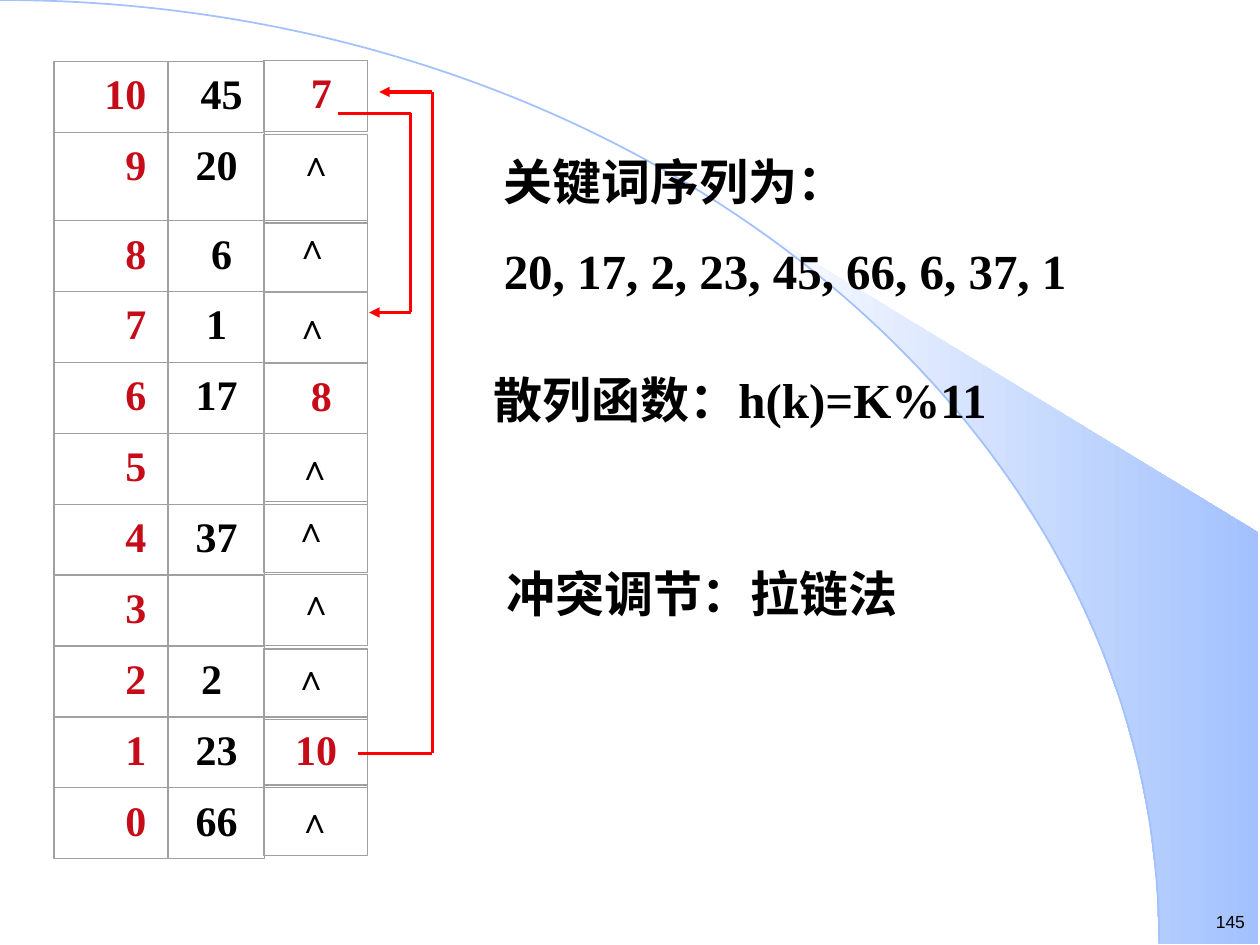
"""Build the slide on resolving hash collisions by chaining."""
from itertools import pairwise

from lxml import etree
from pptx import Presentation
from pptx import util as u
from pptx.dml.color import RGBColor
from pptx.enum import shapes, text
from pptx.oxml.ns import qn

SERIF = "Times New Roman"
BLACK, CRIMSON, RED, GREY = "000000", "C60C19", "FF0000", "A0A0A0"
WHITE, SKY = "FFFFFF", "A2C1FE"
LEFT, CENTER, RIGHT = text.PP_ALIGN.LEFT, text.PP_ALIGN.CENTER, text.PP_ALIGN.RIGHT
END = "∧"
TABLE_TOP, ROW, TALL_ROW = 0.49, 0.5625, 0.7
INDEX_LEFT, KEY_LEFT, LINK_LEFT = 0.43, 1.34, 2.09
CURVE = [(0, 0), (5.08, 0), (9.2, 3.35), (9.2, 7.49)]
# Index; key and left of its text; link, top of its cell, left and top of its text
BUCKETS = [
    ("10", "45", 1.46, "7", 0.48, 2.27, 0.48),
    ("9", "20", 1.42, END, 1.07, 2.23, 1.07),
    ("8", "6", 1.46, END, 1.75, 2.2, 1.73),
    ("7", "1", 1.42, END, 2.32, 2.2, 2.37),
    ("6", "17", 1.42, "8", 2.88, 2.27, 2.88),
    ("5", "", 1.42, END, 3.44, 2.22, 3.49),
    ("4", "37", 1.42, END, 3.98, 2.19, 3.98),
    ("3", "", 1.42, END, 4.56, 2.23, 4.56),
    ("2", "2", 1.38, END, 5.15, 2.19, 5.15),
    ("1", "23", 1.42, "10", 5.69, 2.23, 5.69),
    ("0", "66", 1.42, END, 6.23, 2.22, 6.29),
]
LINKS = [
    [(2.84, 5.98), (3.43, 5.98), (3.43, 0.73), (3.01, 0.73)],
    [(2.68, 0.9), (3.26, 0.9), (3.26, 2.48), (2.93, 2.48)],
]
NOTES = [
    (3.9, 1.15, 4.76, 1.28, ["关键词序列为：", "20, 17, 2, 23, 45, 66, 6, 37, 1"]),
    (3.82, 2.88, 5.28, 0.57, ["散列函数：h(k)=K%11"]),
    (3.92, 4.42, 4.83, 0.57, ["冲突调节：拉链法"]),
]


def color(value):
    """Turn a hex string into a colour."""
    return RGBColor.from_string(value)


def curve_point(t):
    """Return the point at t on the cubic curve."""
    weights = ((1 - t) ** 3, 3 * t * (1 - t) ** 2, 3 * t ** 2 * (1 - t), t ** 3)
    return tuple(sum(w * p for w, p in zip(weights, axis)) for axis in zip(*CURVE))


def add_outline(slide, points, close):
    """Add a freeform through the points."""
    points = [tuple(map(u.Inches, point)) for point in points]
    builder = slide.shapes.build_freeform(*points[0])
    builder.add_line_segments(points[1:], close=close)
    shape = builder.convert_to_shape()
    shape.shadow.inherit = False
    return shape


def add_sector(slide):
    """Add the shaded sector beside the curve."""
    edge = [curve_point(step / 100) for step in range(44, 101, 4)]
    sector = add_outline(slide, edge + [(9.99, 7.49), (9.99, 4.23)], True)
    sector.line.fill.background()
    sector.fill.gradient()
    sector.fill.gradient_angle = 0
    for stop, position, value in zip(sector.fill.gradient_stops, (0, 1), (WHITE, SKY)):
        stop.position, stop.color.rgb = position, color(value)


def add_arc(slide):
    """Add the curve as one cubic segment."""
    arc = add_outline(slide, CURVE, False)
    arc.fill.background()
    arc.line.color.rgb, arc.line.width = color(SKY), u.Pt(1)
    segments = list(arc._element.iter(qn("a:lnTo")))
    cubic = etree.SubElement(segments[0].getparent(), qn("a:cubicBezTo"))
    for segment in segments:
        cubic.append(segment[0])
        segment.getparent().remove(segment)


def add_text(slide, left, top, width, height, lines, size=28, value=BLACK,
             align=LEFT, name=SERIF, bold=True):
    """Add a text box with one paragraph per line and return its frame."""
    box = slide.shapes.add_textbox(*map(u.Inches, (left, top, width, height)))
    frame = box.text_frame
    frame.word_wrap = True
    frame.text = "\n".join(lines)
    for paragraph in frame.paragraphs:
        paragraph.alignment = align
        font = paragraph.font
        font.size, font.name, font.bold = u.Pt(size), name, bold
        font.color.rgb = color(value)
    for paragraph in frame.paragraphs[1:]:
        paragraph.space_before = u.Pt(17.5)
    return frame


def add_cell(slide, left, top, width, height):
    """Add the hairline frame of one cell."""
    area = map(u.Inches, (left, top, width, height))
    shape = slide.shapes.add_shape(shapes.MSO_SHAPE.RECTANGLE, *area)
    shape.shadow.inherit = False
    shape.fill.background()
    shape.line.color.rgb, shape.line.width = color(GREY), u.Pt(0)


def add_hash_table(slide):
    """Add the rows of bucket index, key and link."""
    top = TABLE_TOP
    for index, key, key_x, link, link_top, link_x, link_y in BUCKETS:
        height = TALL_ROW if index == "9" else ROW
        add_text(slide, 0.51, top, 0.75, height, [index], 24, CRIMSON, RIGHT)
        add_cell(slide, INDEX_LEFT, top, 0.9, height)
        if key:
            add_text(slide, key_x, top, 0.6, height, [key], 24, BLACK, CENTER)
        add_cell(slide, KEY_LEFT, top, 0.76, height)
        size, value = (20, BLACK) if link == END else (24, CRIMSON)
        add_text(slide, link_x, link_y, 0.56, height, [link], size, value, CENTER)
        add_cell(slide, LINK_LEFT, link_top, 0.83, height)
        top += height


def add_link(slide, points):
    """Draw a path of straight lines with an arrowhead at its end."""
    for start, end in pairwise(points):
        connector = slide.shapes.add_connector(
            shapes.MSO_CONNECTOR.STRAIGHT, *map(u.Inches, start + end))
        connector.line.color.rgb, connector.line.width = color(RED), u.Pt(1.75)
        etree.SubElement(connector._element.spPr, qn("a:effectLst"))
    etree.SubElement(connector.line._get_or_add_ln(), qn("a:tailEnd"), type="triangle")


def main():
    """Build and save the slide."""
    presentation = Presentation()
    presentation.slide_width, presentation.slide_height = u.Inches(10), u.Inches(7.5)
    slide = presentation.slides.add_slide(presentation.slide_layouts[6])
    add_sector(slide)
    add_arc(slide)
    number = add_text(slide, 9.41, 7.18, 0.49, 0.27, ["145"], 10, BLACK, RIGHT, "Arial", False)
    number.margin_left = number.margin_right = u.Inches(0.02)
    for note in NOTES:
        add_text(slide, *note)
    add_hash_table(slide)
    for points in LINKS:
        add_link(slide, points)
    presentation.save("out.pptx")


if __name__ == "__main__":
    main()
